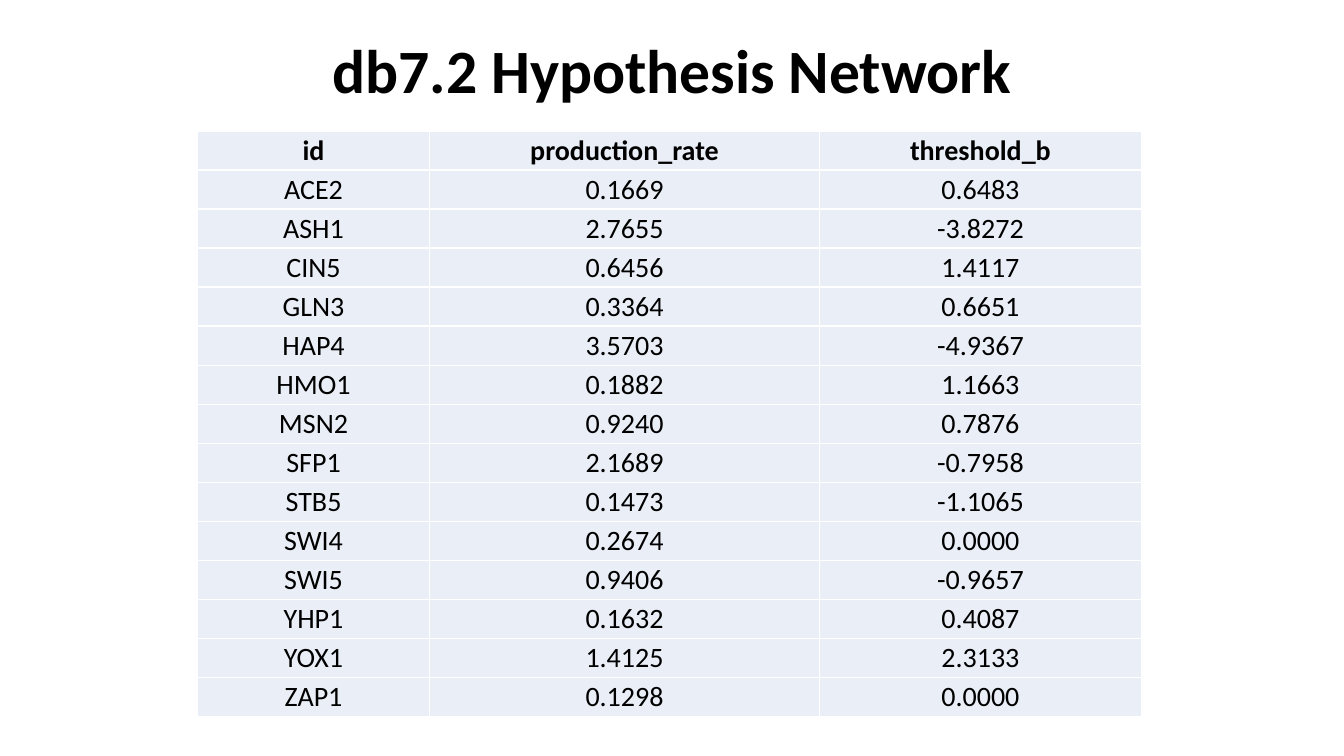
from lxml.etree import SubElement
from pptx import Presentation
from pptx.dml.color import RGBColor
from pptx.enum.text import MSO_ANCHOR, PP_ALIGN
from pptx.oxml.ns import qn
from pptx.util import Inches, Pt


def paint(fill, tone):
    fill.solid()
    fill.fore_color.rgb = RGBColor.from_string(tone)


def write(para, text, size, bold):
    para.text = text
    para.alignment = PP_ALIGN.CENTER
    face = {"name": "Calibri", "size": Pt(size), "bold": bold}
    for key, val in face.items():
        setattr(para.font, key, val)
    paint(para.font.fill, "000000")


deck = Presentation()
deck.slide_width = Inches(13.33)
deck.slide_height = Inches(7.5)
slide = deck.slides.add_slide(deck.slide_layouts[6])

title = slide.shapes.add_textbox(Inches(0.92), 0, Inches(11.5), Inches(1.45))
frame = title.text_frame
frame.word_wrap = True
frame.vertical_anchor = MSO_ANCHOR.MIDDLE
write(frame.paragraphs[0], "db7.2 Hypothesis Network", 44, True)
frame.paragraphs[0].line_spacing = 0.9

rows = [
    ("id", "production_rate", "threshold_b"),
    ("ACE2", "0.1669", "0.6483"),
    ("ASH1", "2.7655", "-3.8272"),
    ("CIN5", "0.6456", "1.4117"),
    ("GLN3", "0.3364", "0.6651"),
    ("HAP4", "3.5703", "-4.9367"),
    ("HMO1", "0.1882", "1.1663"),
    ("MSN2", "0.9240", "0.7876"),
    ("SFP1", "2.1689", "-0.7958"),
    ("STB5", "0.1473", "-1.1065"),
    ("SWI4", "0.2674", "0.0000"),
    ("SWI5", "0.9406", "-0.9657"),
    ("YHP1", "0.1632", "0.4087"),
    ("YOX1", "1.4125", "2.3133"),
    ("ZAP1", "0.1298", "0.0000"),
]
widths = [2.3, 3.87, 3.19]
table = slide.shapes.add_table(
    len(rows), len(widths), Inches(1.96), Inches(1.3),
    Inches(sum(widths)), Inches(5.81)).table
for key in ("first_row", "horz_banding"):
    setattr(table, key, False)
for col, width in zip(table.columns, widths):
    col.width = Inches(width)

form = {
    "vertical_anchor": MSO_ANCHOR.MIDDLE,
    "margin_left": Inches(0.01),
    "margin_right": Inches(0.01),
    "margin_top": Inches(0.01),
    "margin_bottom": 0,
}
for r, row in enumerate(rows):
    for c, text in enumerate(row):
        cell = table.cell(r, c)
        for key, val in form.items():
            setattr(cell, key, val)
        props = cell._tc.get_or_add_tcPr()
        for side in ("lnL", "lnR", "lnT", "lnB"):
            line = SubElement(props, qn("a:" + side), w=str(Pt(1)))
            solid = SubElement(line, qn("a:solidFill"))
            SubElement(solid, qn("a:srgbClr"), val="FFFFFF")
        paint(cell.fill, "EAEFF7")
        write(cell.text_frame.paragraphs[0], text, 20, r == 0)

deck.save("out.pptx")
